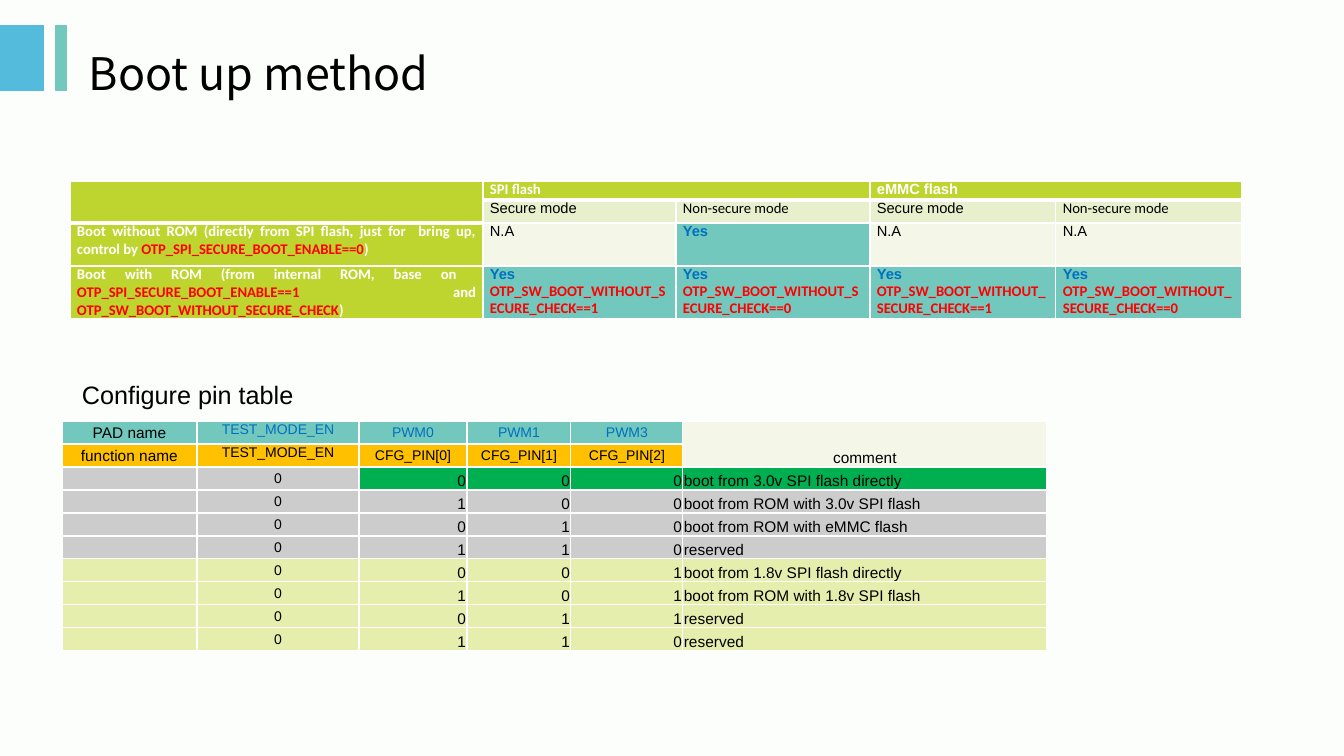
from lxml import etree
from pptx import Presentation
from pptx.dml.color import RGBColor
from pptx.enum.shapes import MSO_SHAPE
from pptx.enum.text import MSO_ANCHOR, PP_ALIGN
from pptx.oxml.ns import qn
from pptx.util import Pt

RECTANGLE = MSO_SHAPE.RECTANGLE
TOP, MIDDLE, BOTTOM = MSO_ANCHOR.TOP, MSO_ANCHOR.MIDDLE, MSO_ANCHOR.BOTTOM
LEFT, CENTER, RIGHT, JUSTIFY = (PP_ALIGN.LEFT, PP_ALIGN.CENTER,
                                PP_ALIGN.RIGHT, PP_ALIGN.JUSTIFY)
EMU_PER_PIXEL = 914400 / 100.8

THEME = {
    "page": "FCFEFC", "blue": "54BBDC", "teal": "73C8BE", "lime": "BED52F",
    "mode": "E8EFCD", "pale": "F4F7E8", "amber": "FFC000", "gray": "CCCCCC",
    "green": "00B050", "soft lime": "E5EEAC", "border": "FFFFFF",
    "title size": 32, "caption size": 18, "method size": 10.5,
    "pin size": 11, "small pin size": 10,
}
# Text style: font, colour, bold
STYLES = {
    "title": ("Noto Sans CJK SC", "000000", False),
    "plain": ("Arial", "000000", False),
    "plain calibri": ("Calibri", "000000", False),
    "head": ("Arial", "FFFFFF", True),
    "head calibri": ("Calibri", "FFFFFF", True),
    "flag": ("Calibri", "FF0000", True),
    "yes": ("Arial", "0070C0", True),
    "pad": ("Arial", "0070C0", False),
}

# Boot method table: each cell is (fill, paragraphs), a paragraph is a list of runs
SECURE = ("mode", [[("Secure mode", "plain")]])
NON_SECURE = ("mode", [[("Non-secure mode", "plain calibri")]])
NOT_AVAILABLE = ("pale", [[("N.A", "plain")]])
YES = [("Yes", "yes")]
CHECKED, UNCHECKED = [
    ("teal", [YES, [(f"OTP_SW_BOOT_WITHOUT_SECURE_CHECK=={value}", "flag")]])
    for value in (1, 0)]
BLANK = ("lime", [[]])
WITHOUT_ROM = ("lime", [[
    ("Boot without ROM (directly from SPI flash, just for  bring up, control by ",
     "head calibri"),
    ("OTP_SPI_SECURE_BOOT_ENABLE==0", "flag"), (")", "head calibri")]])
WITH_ROM = ("lime", [[
    ("Boot with ROM (from internal ROM, base on  ", "head calibri"),
    ("OTP_SPI_SECURE_BOOT_ENABLE==1 ", "flag"), ("and ", "head calibri"),
    ("OTP_SW_BOOT_WITHOUT_SECURE_CHECK", "flag"), (")", "head calibri")]])
METHOD_ROWS = [
    [BLANK, ("lime", [[("SPI flash", "head calibri")]]), BLANK,
     ("lime", [[("eMMC flash", "head")]]), BLANK],
    [BLANK, SECURE, NON_SECURE, SECURE, NON_SECURE],
    [WITHOUT_ROM, NOT_AVAILABLE, ("teal", [YES]), NOT_AVAILABLE, NOT_AVAILABLE],
    [WITH_ROM, CHECKED, UNCHECKED, CHECKED, UNCHECKED],
]
METHOD_MERGES = [((0, 0), (1, 0)), ((0, 1), (0, 2)), ((0, 3), (0, 4))]

# Pin table
PADS = ["PAD name", "TEST_MODE_EN", "PWM0", "PWM1", "PWM3", "comment"]
FUNCTIONS = ["function name", "TEST_MODE_EN", "CFG_PIN[0]", "CFG_PIN[1]",
             "CFG_PIN[2]", ""]
BOOT_MODES = [
    ("000", "boot from 3.0v SPI flash directly"),
    ("100", "boot from ROM with 3.0v SPI flash "),
    ("010", "boot from ROM with eMMC flash"),
    ("110", "reserved"),
    ("001", "boot from 1.8v SPI flash directly"),
    ("101", "boot from ROM with 1.8v SPI flash "),
    ("011", "reserved"),
    ("110", "reserved"),
]
PIN_ROWS = [PADS, FUNCTIONS] + [["", "0", *bits, comment]
                                for bits, comment in BOOT_MODES]
COMMENT = len(PADS) - 1


def px(pixels):
    """Turn pixels into EMU."""
    return round(pixels * EMU_PER_PIXEL)


def color(name):
    """Look up a theme colour."""
    return RGBColor.from_string(THEME[name])


def set_font(font, style, size):
    """Apply a text style and a size to a font."""
    font.name, rgb, font.bold = STYLES[style]
    font.color.rgb = RGBColor.from_string(rgb)
    font.size = Pt(size)


def add_bar(slide, left, width, fill):
    """Draw one bar of the title ornament."""
    bar = slide.shapes.add_shape(RECTANGLE, px(left), px(26), px(width), px(65))
    bar.shadow.inherit = False
    bar.fill.solid()
    bar.fill.fore_color.rgb = bar.line.color.rgb = color(fill)
    bar.line.width = Pt(0.75)


def add_label(slide, box, words, style, size, anchor=TOP):
    """Add a one-line text box."""
    frame = slide.shapes.add_textbox(*map(px, box)).text_frame
    frame.word_wrap = True
    frame.vertical_anchor = anchor
    paragraph = frame.paragraphs[0]
    paragraph.text = words
    set_font(paragraph.font, style, size)


def add_grid(slide, left, top, widths, heights):
    """Add an empty table with the given column widths and row heights."""
    table = slide.shapes.add_table(len(heights), len(widths), px(left), px(top),
                                   px(sum(widths)), px(sum(heights))).table
    for column, width in zip(table.columns, widths):
        column.width = px(width)
    for row, height in zip(table.rows, heights):
        row.height = px(height)
    return table


def style_cell(cell, fill, margins, anchor, bottom_width=1):
    """Set fill, margins, anchor and borders of a cell."""
    cell.margin_left, cell.margin_top, cell.margin_right, cell.margin_bottom = map(
        px, margins)
    cell.vertical_anchor = anchor
    properties = cell._tc.get_or_add_tcPr()
    for side, width in (("L", 1), ("R", 1), ("T", 1), ("B", bottom_width)):
        line = etree.SubElement(properties, qn(f"a:ln{side}"), w=str(Pt(width)))
        solid = etree.SubElement(line, qn("a:solidFill"))
        etree.SubElement(solid, qn("a:srgbClr"), val=THEME["border"])
    cell.fill.solid()
    cell.fill.fore_color.rgb = color(fill)


def write_paragraph(paragraph, runs, size, align):
    """Write styled runs, with one paragraph font where they agree."""
    paragraph.alignment = align
    styles = {style for _, style in runs} or {"plain"}
    if len(styles) == 1:
        set_font(paragraph.font, *styles, size)
    for words, style in runs:
        run = paragraph.add_run()
        run.text = words
        if len(styles) > 1:
            set_font(run.font, style, size)


def add_method_table(slide):
    """Add the table of boot methods by flash type and mode."""
    table = add_grid(slide, 70, 181, [413, 193, 194, 186, 186], [19, 23, 43, 53])
    for r, row in enumerate(METHOD_ROWS):
        for c, (fill, paragraphs) in enumerate(row):
            cell = table.cell(r, c)
            heading = r == 0 or (r, c) == (1, 0)
            style_cell(cell, fill, (7, 0, 7, 0), TOP, 3 if heading else 1)
            for i, runs in enumerate(paragraphs):
                frame = cell.text_frame
                paragraph = frame.add_paragraph() if i else frame.paragraphs[0]
                write_paragraph(paragraph, runs, THEME["method size"], JUSTIFY)
    for first, last in METHOD_MERGES:
        table.cell(*first).merge(table.cell(*last))


def pin_look(r, c):
    """Return fill, text style, size, alignment and anchor of a pin table cell."""
    small, large = THEME["small pin size"], THEME["pin size"]
    if r < 2:
        if c == COMMENT:
            return "pale", "plain", large, CENTER, BOTTOM
        style = "pad" if r == 0 and c else "plain"
        return (("teal", "amber")[r], style, small if c else large, CENTER,
                TOP if c == 1 else MIDDLE)
    fill = "gray" if r < 6 else "soft lime"
    if c < 2:
        return fill, "plain", small, CENTER, MIDDLE
    align = LEFT if c == COMMENT else RIGHT
    return "green" if r == 2 else fill, "plain", large, align, BOTTOM


def add_pin_table(slide):
    """Add the table of pin settings."""
    table = add_grid(slide, 62, 421, [135, 162, 108, 104, 112, 364],
                     [23] * len(PIN_ROWS))
    for r, row in enumerate(PIN_ROWS):
        for c, words in enumerate(row):
            fill, style, size, align, anchor = pin_look(r, c)
            cell = table.cell(r, c)
            style_cell(cell, fill, (1, 1, 1, 0), anchor)
            runs = [(words, style)] if words else []
            write_paragraph(cell.text_frame.paragraphs[0], runs, size, align)
    table.cell(0, COMMENT).merge(table.cell(1, COMMENT))


deck = Presentation()
deck.slide_width, deck.slide_height = px(1344), px(756)
boot_slide = deck.slides.add_slide(deck.slide_layouts[6])
boot_slide.background.fill.solid()
boot_slide.background.fill.fore_color.rgb = color("page")
add_bar(boot_slide, 0, 44, "blue")
add_bar(boot_slide, 56, 11, "teal")
add_label(boot_slide, (79, 26, 1198, 93), "Boot up method", "title",
          THEME["title size"], MIDDLE)
add_method_table(boot_slide)
add_pin_table(boot_slide)
add_label(boot_slide, (72, 374, 242, 40), "Configure pin table", "plain",
          THEME["caption size"])
deck.save("out.pptx")
